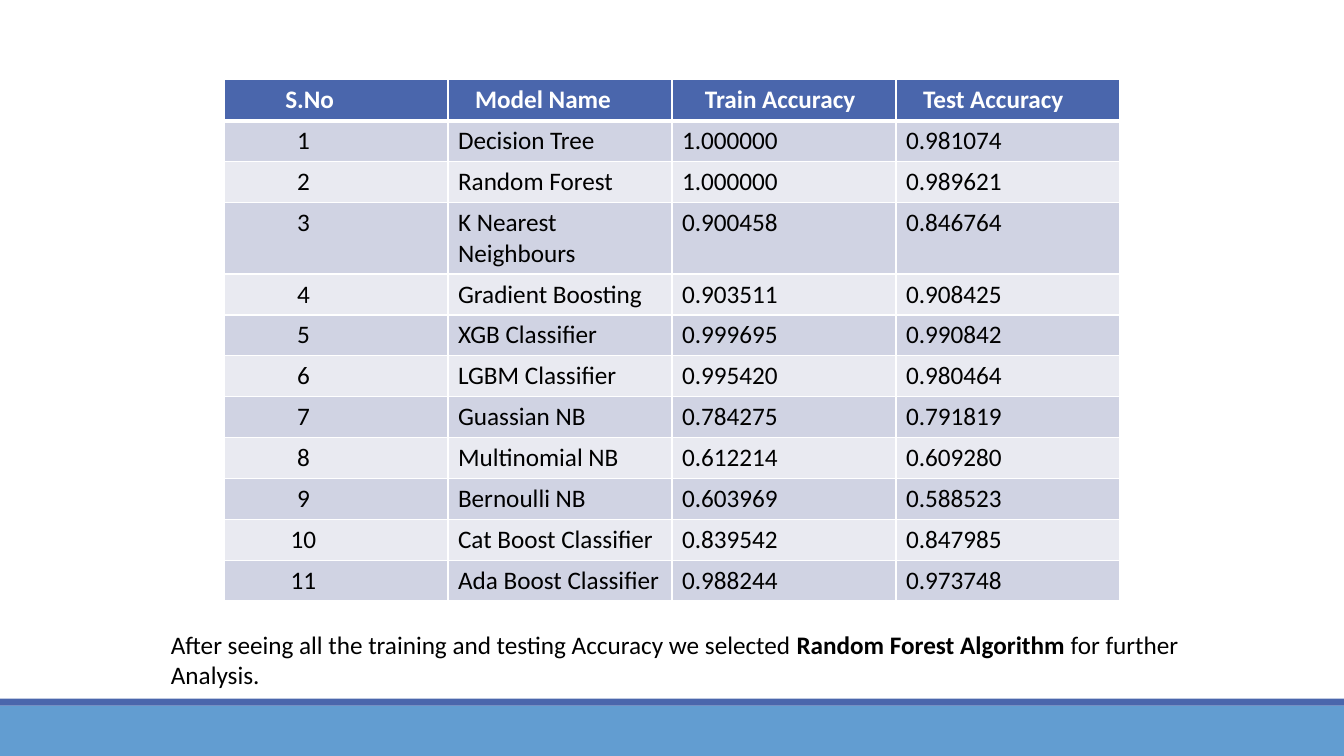
from lxml import etree
from pptx import Presentation
from pptx.dml.color import RGBColor
from pptx.enum.shapes import MSO_SHAPE
from pptx.enum.text import MSO_AUTO_SIZE, PP_ALIGN
from pptx.oxml.ns import qn
from pptx.util import Pt

RECT = MSO_SHAPE.RECTANGLE
LEFT, CENTER = PP_ALIGN.LEFT, PP_ALIGN.CENTER
GROW = MSO_AUTO_SIZE.SHAPE_TO_FIT_TEXT

WIDTH, HEIGHT = 960, 540
BLUE, SKY, WHITE, BLACK = "4A66AC", "629DD1", "FFFFFF", "000000"
STRIPES = ("D0D3E3", "E9EAF1")

# heading, left margin
HEADINGS = [("S.No", 43.8), ("Model Name", 19.4),
            ("Train Accuracy", 23.5), ("Test Accuracy", 19.4)]
MODELS = [
    ("Decision Tree", "1.000000", "0.981074"),
    ("Random Forest", "1.000000", "0.989621"),
    ("K Nearest Neighbours", "0.900458", "0.846764"),
    ("Gradient Boosting", "0.903511", "0.908425"),
    ("XGB Classifier", "0.999695", "0.990842"),
    ("LGBM Classifier", "0.995420", "0.980464"),
    ("Guassian NB", "0.784275", "0.791819"),
    ("Multinomial NB", "0.612214", "0.609280"),
    ("Bernoulli NB", "0.603969", "0.588523"),
    ("Cat Boost Classifier", "0.839542", "0.847985"),
    ("Ada Boost Classifier", "0.988244", "0.973748"),
]
CONCLUSION = [
    ("After seeing all the training and testing Accuracy we selected ", False),
    ("Random Forest Algorithm ", True),
    ("for further Analysis.", False),
]
# top, height, colour
FOOTER_BANDS = [(504, 36, SKY), (499, 5, BLUE)]

TABLE_LEFT, TABLE_TOP, COL_WIDTH = 160, 57, 160
ROW_HEIGHT, TALL_ROW_HEIGHT, TALL_ROW = 29.2, 50.4, 3
MARGIN, NUMBER_RIGHT_MARGIN = 7.2, 53.8


def color(value):
    return RGBColor.from_string(value)


def add_text(p, text, size=18, bold=False, fill=BLACK, align=LEFT):
    p.alignment = align
    r = p.add_run()
    r.text = text
    r.font.name, r.font.size, r.font.bold = "Calibri", Pt(size), bold
    r.font.color.rgb = color(fill)


def set_borders(cell, top=1, bottom=1):
    tc_pr = cell._tc.get_or_add_tcPr()
    sides = {"a:lnL": 1, "a:lnR": 1, "a:lnT": top, "a:lnB": bottom}
    for i, (side, width) in enumerate(sides.items()):
        ln = etree.Element(qn(side), w=str(Pt(width)))
        fill = etree.SubElement(ln, qn("a:solidFill"))
        etree.SubElement(fill, qn("a:srgbClr"), val=WHITE)
        tc_pr.insert(i, ln)


def fill_cell(cell, text, background, left=MARGIN, right=MARGIN,
              top=1, bottom=1, **text_format):
    cell.fill.solid()
    cell.fill.fore_color.rgb = color(background)
    cell.margin_left, cell.margin_right = Pt(left), Pt(right)
    set_borders(cell, top, bottom)
    add_text(cell.text_frame.paragraphs[0], text, **text_format)


def add_footer(s):
    for top, height, fill in FOOTER_BANDS:
        sp = s.shapes.add_shape(RECT, 0, Pt(top), Pt(WIDTH), Pt(height))
        sp.shadow.inherit = False
        sp.fill.solid()
        sp.fill.fore_color.rgb = color(fill)
        sp.line.fill.background()


def add_accuracy_table(s):
    rows, cols = len(MODELS) + 1, len(HEADINGS)
    heights = [TALL_ROW_HEIGHT if i == TALL_ROW else ROW_HEIGHT
               for i in range(rows)]
    table = s.shapes.add_table(rows, cols, Pt(TABLE_LEFT), Pt(TABLE_TOP),
                               Pt(COL_WIDTH * cols), Pt(sum(heights))).table
    for row, height in zip(table.rows, heights):
        row.height = Pt(height)
    for col in table.columns:
        col.width = Pt(COL_WIDTH)

    for c, (heading, left) in enumerate(HEADINGS):
        fill_cell(table.cell(0, c), heading, BLUE, left=left, bottom=3,
                  bold=True, fill=WHITE)
    for i, model in enumerate(MODELS, 1):
        background = STRIPES[(i - 1) % 2]
        top = 3 if i == 1 else 1
        fill_cell(table.cell(i, 0), str(i), background,
                  right=NUMBER_RIGHT_MARGIN, top=top, align=CENTER)
        for c, value in enumerate(model, 1):
            fill_cell(table.cell(i, c), value, background, top=top)


def add_conclusion(s):
    box = s.shapes.add_textbox(Pt(115), Pt(445.6), Pt(755), Pt(51))
    tf = box.text_frame
    tf.word_wrap, tf.auto_size = True, GROW
    for text, bold in CONCLUSION:
        add_text(tf.paragraphs[0], text, bold=bold)


def main():
    prs = Presentation()
    prs.slide_width, prs.slide_height = Pt(WIDTH), Pt(HEIGHT)
    s = prs.slides.add_slide(prs.slide_layouts[6])
    add_footer(s)
    add_accuracy_table(s)
    add_conclusion(s)
    prs.save("out.pptx")


if __name__ == "__main__":
    main()
